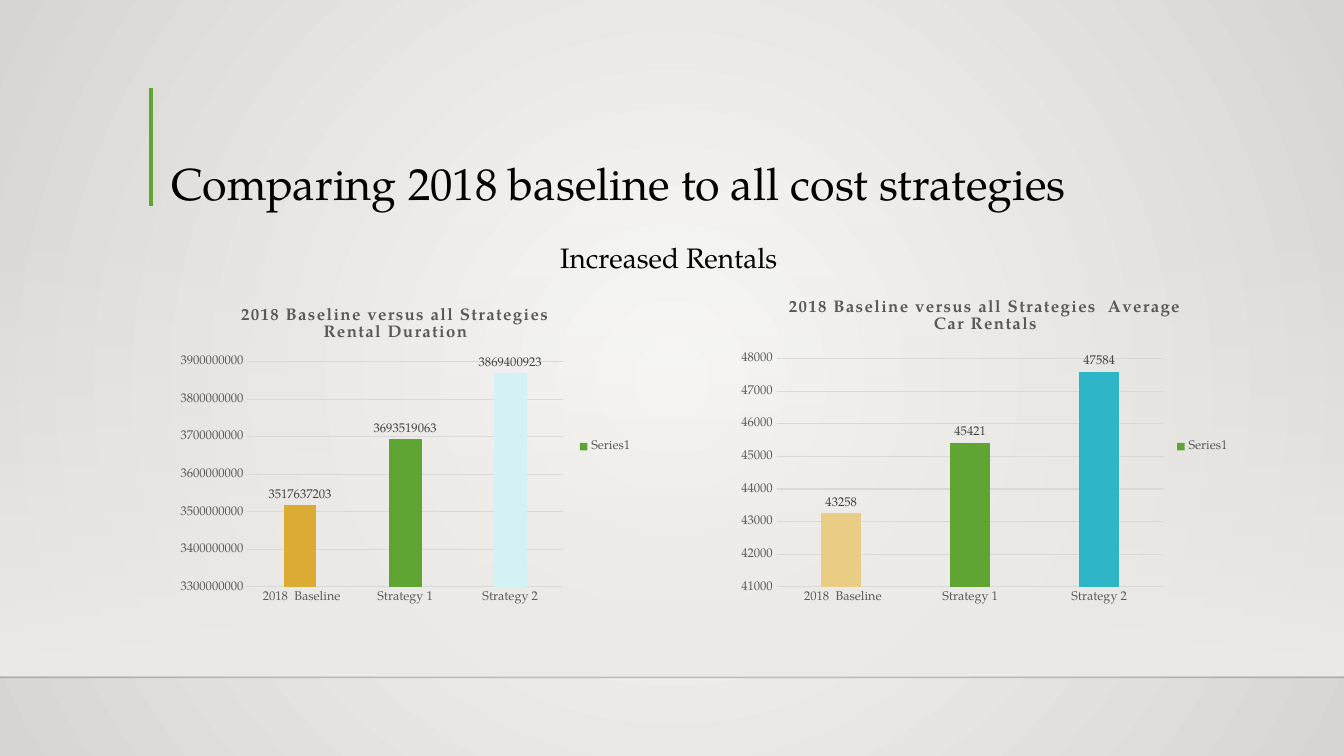
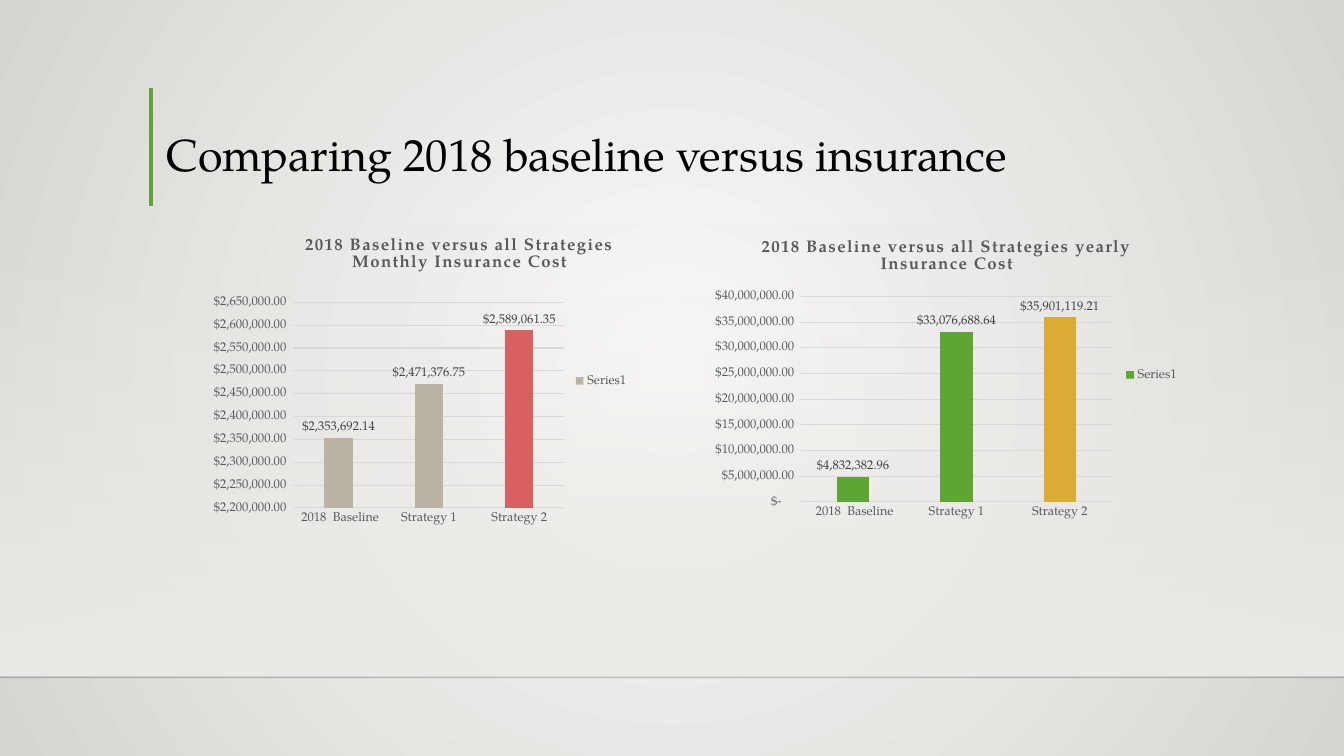
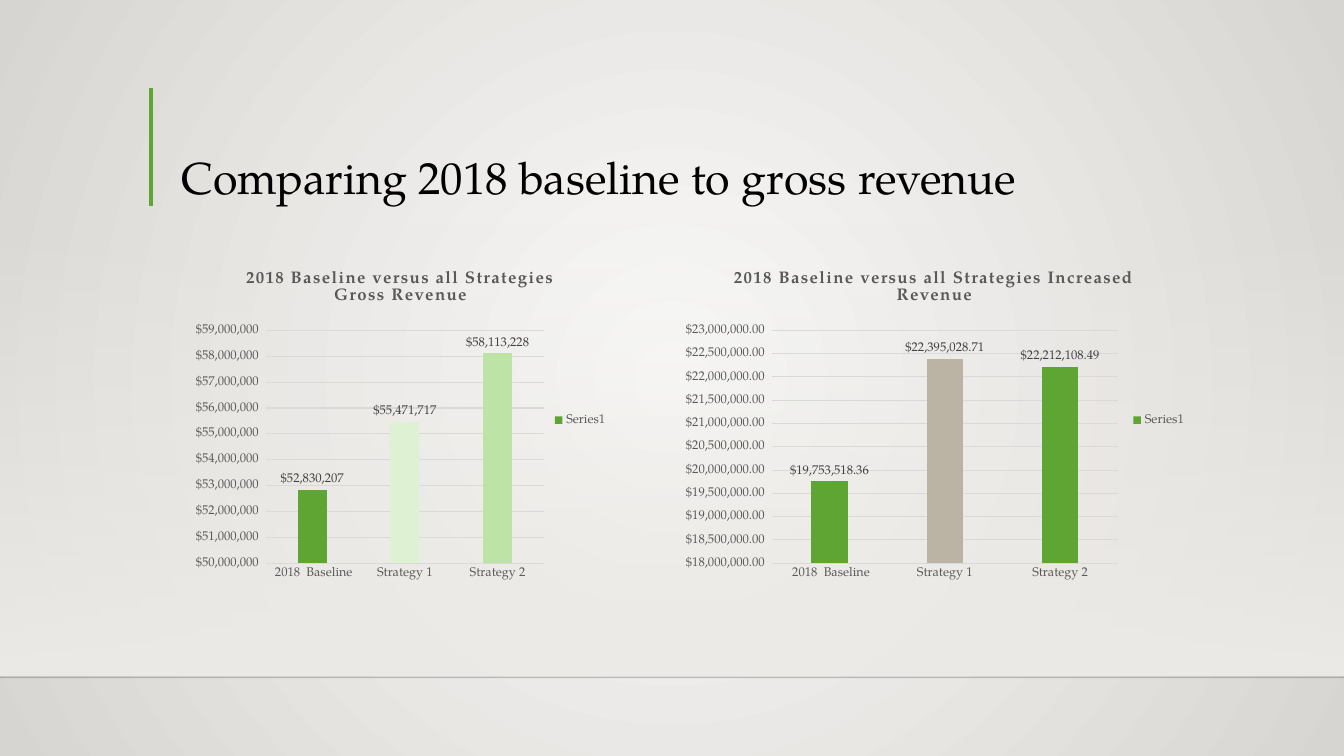
from lxml.etree import SubElement
from pptx import Presentation
from pptx.chart.data import CategoryChartData
from pptx.dml.color import RGBColor
from pptx.enum.chart import XL_CHART_TYPE, XL_LABEL_POSITION, XL_LEGEND_POSITION, XL_TICK_MARK
from pptx.enum.shapes import MSO_CONNECTOR, MSO_SHAPE
from pptx.enum.text import MSO_ANCHOR, PP_ALIGN
from pptx.oxml.ns import qn
from pptx.util import Cm, Pt

FONT = "TeX Gyre Pagella"
COLORS = {name: RGBColor.from_string(value) for name, value in {
    "center": "FAFAF9", "edge": "D7D5D2", "floor": "EDEBE7", "horizon": "000001",
    "text": "000000", "label": "404040", "muted": "595959", "grid": "D9D9D9",
    "green": "5FA534", "pale green": "DEF1D2", "light green": "BDE3A6",
    "gold": "DCAB34", "light gold": "EACD85", "teal": "2FB6C6", "pale teal": "D4F1F5",
    "taupe": "BBB3A4", "red": "DA6161",
}.items()}
WIDTH, HEIGHT = 33.87, 19.05
COUNT = "0"
DOLLARS = r'_("$"* #,##0_);_("$"* \(#,##0\);_("$"* "-"??_);_(@_)'
CENTS = r'_("$"* #,##0.00_);_("$"* \(#,##0.00\);_("$"* "-"??_);_(@_)'
CATEGORIES = [" 2018  Baseline", "Strategy 1", "Strategy 2"]

# Boxes are left, top, width, height in cm; plot and heading are fractions of the chart.
SLIDES = [
    {"title": " Comparing 2018 baseline to all cost strategies",
     "box": (3.78, 2.84, 27.74, 2.59),
     "subtitle": "Increased Rentals ",
     "charts": [
         {"heading": "2018 Baseline versus all Strategies Rental Duration",
          "heading_at": (0.14, 0.06), "box": (4.34, 7.14, 11.86, 8.23),
          "plot": (0.16, 0.24, 0.67, 0.69), "format": COUNT,
          "scale": (3300000000, 3900000000, 100000000),
          "values": [3517637203, 3693519063, 3869400923],
          "color": "green", "points": {0: "gold", 2: "pale teal"}},
         {"heading": "2018 Baseline versus all Strategies  Average Car Rentals",
          "box": (18.42, 7.14, 12.83, 8.23),
          "plot": (0.09, 0.23, 0.76, 0.7), "format": COUNT,
          "scale": (41000, 48000, 1000), "values": [43258, 45421, 47584],
          "color": "green", "points": {0: "light gold", 2: "teal"}},
     ]},
    {"title": " Comparing 2018 baseline versus insurance ",
     "box": (3.66, 2.03, 27.89, 2.67),
     "charts": [
         {"heading": "2018 Baseline versus all Strategies Monthly Insurance Cost",
          "heading_at": (0.23, 0.01), "box": (5.08, 5.79, 11.02, 7.62),
          "plot": (0.21, 0.24, 0.62, 0.68), "format": CENTS,
          "scale": (2200000, 2650000, 50000),
          "values": [2353692.14, 2471376.75, 2589061.35],
          "color": "taupe", "points": {2: "red"}},
         {"heading": "2018 Baseline versus all Strategies yearly Insurance Cost",
          "box": (17.75, 5.64, 12.22, 7.62),
          "plot": (0.2, 0.24, 0.64, 0.68), "format": CENTS,
          "scale": (0, 40000000, 5000000),
          "values": [4832382.96, 33076688.64, 35901119.21],
          "color": "green", "points": {2: "gold"}},
     ]},
    {"title": "Comparing 2018 baseline to gross revenue",
     "box": (4.32, 3.33, 26.16, 1.93),
     "charts": [
         {"heading": "2018 Baseline versus all Strategies Gross Revenue",
          "box": (4.62, 6.4, 10.95, 8.38),
          "plot": (0.19, 0.23, 0.64, 0.7), "format": DOLLARS,
          "scale": (50000000, 59000000, 1000000),
          "values": [52830207, 55471717, 58113228],
          "color": "green", "points": {1: "pale green", 2: "light green"}},
         {"heading": "2018 Baseline versus all Strategies Increased Revenue",
          "box": (16.94, 6.4, 13.21, 8.38),
          "plot": (0.19, 0.23, 0.66, 0.7), "format": CENTS,
          "scale": (18000000, 23000000, 500000),
          "values": [19753518.36, 22395028.71, 22212108.49],
          "color": "green", "points": {1: "taupe"}},
     ]},
]


def add_text(slide, box, text, size, anchor, spacing):
    """Add a one-line text box and return its paragraph."""
    frame = slide.shapes.add_textbox(*map(Cm, box)).text_frame
    frame.word_wrap = True
    frame.vertical_anchor = anchor
    paragraph = frame.paragraphs[0]
    paragraph.line_spacing = spacing
    run = paragraph.add_run()
    run.text = text
    run.font.name, run.font.size, run.font.color.rgb = FONT, Pt(size), COLORS["text"]
    return paragraph


def place_part(part, index, fractions, inner=False):
    """Fix a chart part at fractions of the chart: x, y and optionally w, h."""
    layout = part.find(qn("c:layout"))
    if layout is None:
        layout = part.makeelement(qn("c:layout"))
        part.insert(index, layout)
    manual = SubElement(layout, qn("c:manualLayout"))
    settings = [("layoutTarget", "inner")] if inner else []
    settings += [("xMode", "edge"), ("yMode", "edge"), *zip("xywh", fractions)]
    for tag, value in settings:
        SubElement(manual, qn(f"c:{tag}")).set("val", str(value))


deck = Presentation()
deck.slide_width, deck.slide_height = Cm(WIDTH), Cm(HEIGHT)
blank = deck.slide_layouts[6]
slides = [deck.slides.add_slide(blank) for _ in SLIDES]

# Shared background: a radial gradient on the master
master = deck.slide_master
backdrop = master.background.fill
backdrop.gradient()
for stop, position, name in zip(backdrop.gradient_stops, (0, 1), ("center", "edge")):
    stop.position, stop.color.rgb = position, COLORS[name]
linear = master.element.find(".//" + qn("a:lin"))
gradient = linear.getparent()
gradient.remove(linear)
radial = SubElement(gradient, qn("a:path"))
radial.set("path", "circle")
center = SubElement(radial, qn("a:fillToRect"))
for side in "ltrb":
    center.set(side, "50000")

# Shared band and rules: drawn once, then moved to the layout
shapes = slides[0].shapes
band = shapes.add_shape(MSO_SHAPE.RECTANGLE, Cm(0), Cm(5.59), Cm(WIDTH), Cm(11.43))
band.shadow.inherit = False
band.line.fill.background()
band.fill.gradient()
band.fill.gradient_angle = 270
for stop, position in zip(band.fill.gradient_stops, (0, 1)):
    stop.position, stop.color.rgb = position, COLORS["floor"]
rules = []
for start_x, start_y, end_x, end_y, name, weight in [
    (0, 17.07, WIDTH, 17.07, "horizon", 1),
    (3.81, 2.21, 3.81, 5.18, "green", 3),
]:
    rule = shapes.add_connector(
        MSO_CONNECTOR.STRAIGHT, Cm(start_x), Cm(start_y), Cm(end_x), Cm(end_y))
    rule.line.color.rgb, rule.line.width = COLORS[name], Pt(weight)
    SubElement(rule.element.spPr, qn("a:effectLst"))
    rules.append(rule)
for part, opacity in [(band, 0), (rules[0], 20)]:
    color = part.element.find(".//" + qn("a:srgbClr"))
    SubElement(color, qn("a:alpha")).set("val", str(opacity * 1000))
for part in [band, *rules]:
    blank.shapes.element.append(part.element)

for slide, content in zip(slides, SLIDES):
    add_text(slide, content["box"], content["title"], 32, MSO_ANCHOR.BOTTOM, 0.9)
    if "subtitle" in content:
        subtitle = add_text(slide, (3.51, 5.77, 26.87, 10.41), content["subtitle"],
                            20, MSO_ANCHOR.TOP, 1.2)
        subtitle.alignment = PP_ALIGN.CENTER
        subtitle.space_before = Pt(10)

    for item in content["charts"]:
        data = CategoryChartData()
        data.categories = CATEGORIES
        data.add_series("Series1", item["values"])
        chart = slide.shapes.add_chart(
            XL_CHART_TYPE.COLUMN_CLUSTERED, *map(Cm, item["box"]), data).chart
        chart.font.name, chart.font.size = FONT, Pt(10)
        chart.font.color.rgb = COLORS["text"]

        chart.has_title = True
        heading = chart.chart_title.text_frame.paragraphs[0].add_run()
        heading.text = item["heading"]
        heading.font.name, heading.font.size, heading.font.bold = FONT, Pt(12), True
        heading.font.color.rgb = COLORS["muted"]
        title = chart.chart_title.element
        title.find(".//" + qn("a:rPr")).set("spc", "100")
        if "heading_at" in item:
            place_part(title, 1, item["heading_at"])
        place_part(chart.element.find(".//" + qn("c:plotArea")), 0, item["plot"], inner=True)

        chart.has_legend = True
        chart.legend.position = XL_LEGEND_POSITION.RIGHT
        chart.legend.include_in_layout = False

        names, amounts = chart.category_axis, chart.value_axis
        for axis in (names, amounts):
            axis.major_tick_mark = axis.minor_tick_mark = XL_TICK_MARK.NONE
        names.format.line.color.rgb, names.format.line.width = COLORS["grid"], Pt(0.75)
        amounts.format.line.fill.background()
        gridline = amounts.major_gridlines.format.line
        gridline.color.rgb, gridline.width = COLORS["grid"], Pt(0.75)
        amounts.minimum_scale, amounts.maximum_scale, amounts.major_unit = item["scale"]

        plot = chart.plots[0]
        plot.vary_by_categories = False
        plot.gap_width, plot.overlap = 219, -27
        bars = plot.series[0]
        bars.format.fill.solid()
        bars.format.fill.fore_color.rgb = COLORS[item["color"]]
        for index, name in item["points"].items():
            fill = bars.points[index].format.fill
            fill.solid()
            fill.fore_color.rgb = COLORS[name]

        labels = bars.data_labels
        labels.show_value = True
        labels.position = XL_LABEL_POSITION.OUTSIDE_END
        for numbers in (labels, amounts.tick_labels):
            numbers.number_format = item["format"]
            numbers.number_format_is_linked = False
        for font, name in [(labels.font, "label"), (chart.legend.font, "muted"),
                           (names.tick_labels.font, "muted"),
                           (amounts.tick_labels.font, "muted")]:
            font.name, font.size, font.color.rgb = FONT, Pt(9), COLORS[name]

deck.save("out.pptx")
